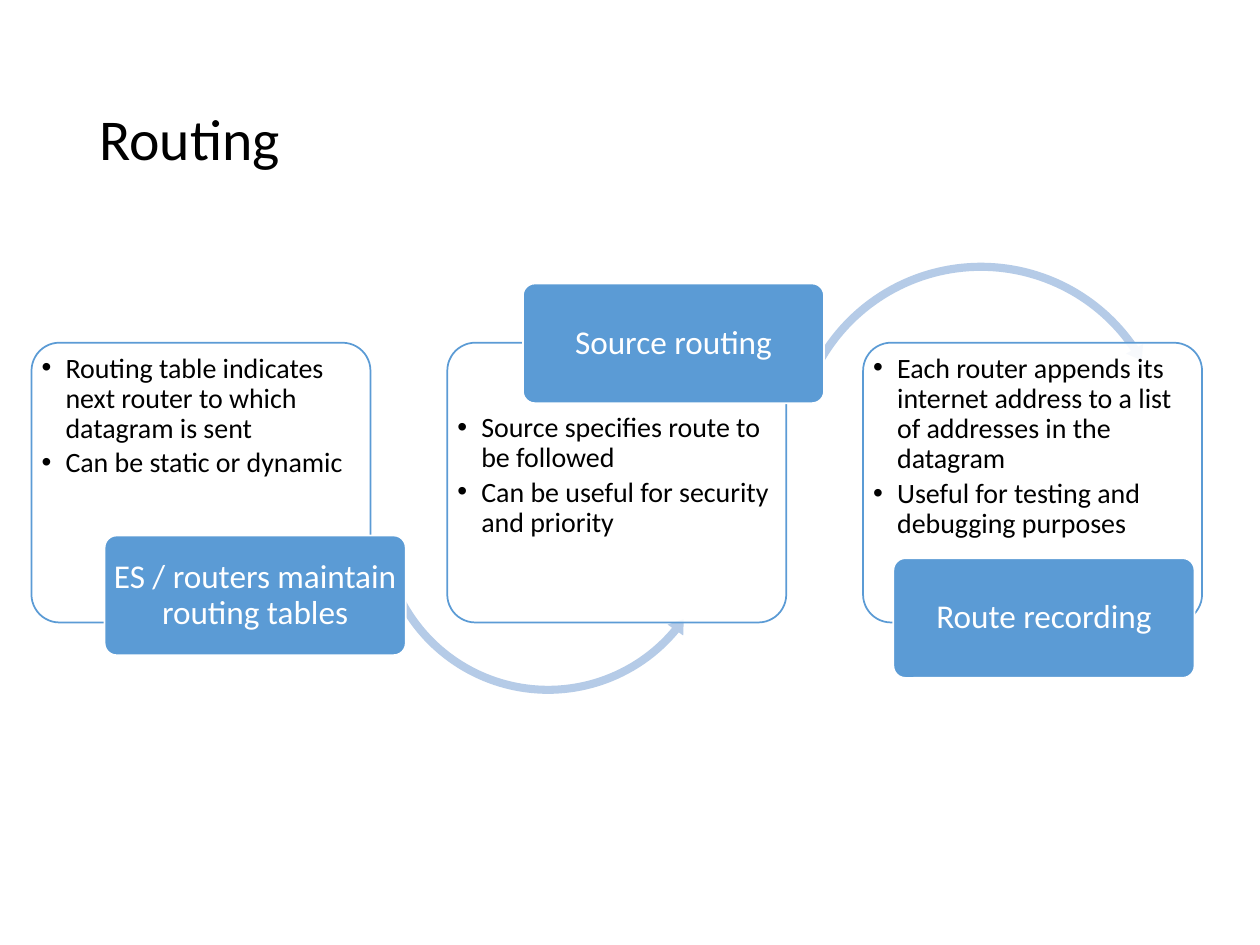
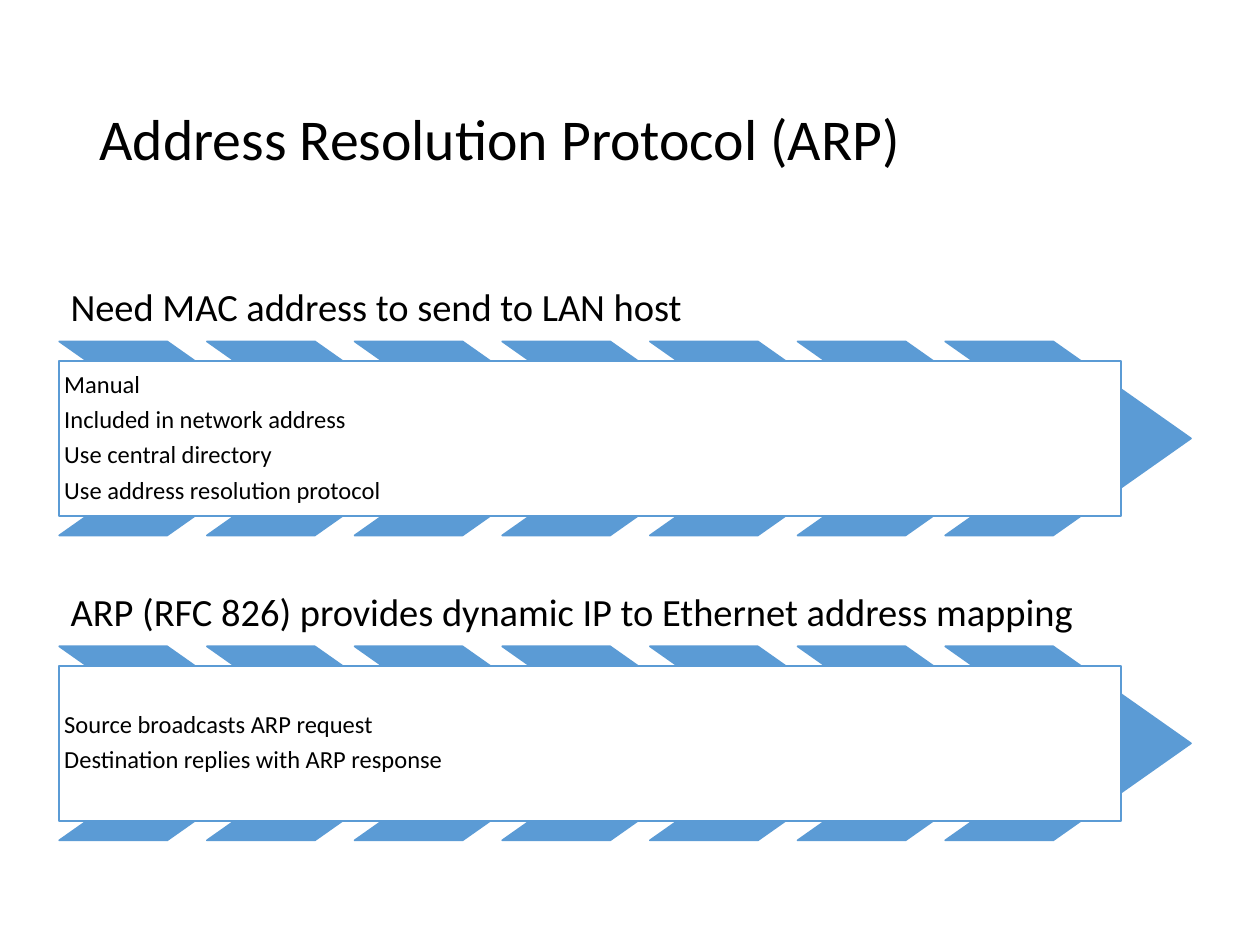
from dataclasses import dataclass
from lxml.etree import SubElement
from pptx import Presentation
from pptx.dml.color import RGBColor
from pptx.enum.shapes import MSO_SHAPE
from pptx.enum.text import MSO_ANCHOR, PP_ALIGN
from pptx.oxml.ns import qn
from pptx.util import Emu, Inches, Pt


@dataclass(frozen=True)
class Theme:
    font: str = "Calibri"
    ink: str = "000000"
    paper: str = "FFFFFF"
    blue: str = "5B9BD5"
    pale: str = "B5CBE7"
    title: int = 33
    head: int = 22
    label: int = 19
    body: int = 16
    small: int = 14


THEME = Theme()
WIDTH, HEIGHT = Inches(10), Inches(7.5)
COLS, ROWS = 100, 75  # grid that every position and size is given in


def place(x, y, w, h):
    col, row = WIDTH / COLS, HEIGHT / ROWS
    return [Emu(round(n)) for n in (x * col, y * row, w * col, h * row)]


def write(shape, lines, size, color=THEME.ink, align=PP_ALIGN.LEFT,
          anchor=MSO_ANCHOR.MIDDLE, pad=(0.04, 0.04), after=0, bullet=False):
    """Fill a shape with paragraphs; after is a share of the type size."""
    frame = shape.text_frame
    frame.word_wrap = True
    frame.vertical_anchor = anchor
    frame.margin_left = frame.margin_right = Inches(pad[0])
    frame.margin_top = frame.margin_bottom = Inches(pad[1])
    for i, line in enumerate(lines):
        par = frame.paragraphs[0] if i == 0 else frame.add_paragraph()
        par.alignment = align
        par.line_spacing = 0.9
        par.space_after = Pt(after * size)
        run = par.add_run()
        run.text = line
        run.font.name, run.font.size = THEME.font, Pt(size)
        run.font.color.rgb = RGBColor.from_string(color)
        if bullet:
            props = par._p.get_or_add_pPr()
            props.set("marL", str(Inches(0.19)))
            props.set("indent", str(-Inches(0.19)))
            SubElement(props, qn("a:buFont"), typeface="Arial")
            SubElement(props, qn("a:buChar"), char="•")


def text(slide, box, lines, size, **style):
    write(slide.shapes.add_textbox(*place(*box)), lines, size, **style)


def draw(slide, kind, box, fill, line=None, adjust=(), alpha=None):
    shape = slide.shapes.add_shape(kind, *place(*box))
    shape.shadow.inherit = False
    for i, value in enumerate(adjust):
        shape.adjustments[i] = value
    shape.fill.solid()
    shape.fill.fore_color.rgb = RGBColor.from_string(fill)
    if alpha:
        tint = shape._element.spPr.find(qn("a:solidFill"))[0]
        SubElement(tint, qn("a:alpha"), val=str(alpha * 1000))
    if line:
        shape.line.color.rgb = RGBColor.from_string(line)
        shape.line.width = Pt(1)
    else:
        shape.line.fill.background()
    return shape


def start(deck, title):
    """Add a blank slide with the shared title."""
    slide = deck.slides.add_slide(deck.slide_layouts[6])
    text(slide, (6.9, 4, 86.2, 14.5), [title], THEME.title, pad=(0.1, 0.05))
    return slide


def panel(slide, x, y, lines, drop):
    """Outlined card with bullets that begin drop rows below its top."""
    draw(slide, MSO_SHAPE.ROUNDED_RECTANGLE, (x, y, 26.9, 22.2), THEME.paper,
         THEME.blue, [0.1], alpha=90)
    text(slide, (x + 0.5, y + drop, 25.9, 16.4), lines, THEME.body,
         anchor=MSO_ANCHOR.TOP, pad=(0.03, 0.03), after=0.15, bullet=True)


def label(slide, x, y, words):
    shape = draw(slide, MSO_SHAPE.ROUNDED_RECTANGLE, (x, y, 23.9, 9.5),
                 THEME.blue, THEME.paper, [0.1])
    write(shape, [words], THEME.label, color=THEME.paper,
          align=PP_ALIGN.CENTER, pad=(0.04, 0.03), after=0.35)


def band(slide, y, head, lines):
    """Heading above a row of chevrons with a text box laid over them."""
    left, high = 4.7, 15.4
    text(slide, (left, y, 83.2, 7.6), [head], THEME.head,
         anchor=MSO_ANCHOR.BOTTOM, pad=(0.09, 0.09), after=0.35)
    top = y + 7.6
    for i in range(7):
        draw(slide, MSO_SHAPE.CHEVRON, (left + 11.72 * i, top, 19.5, high),
             THEME.blue, THEME.blue, [0.71])
    shape = draw(slide, MSO_SHAPE.RECTANGLE,
                 (left, top + high * 0.1, 84.3, high * 0.8),
                 THEME.paper, THEME.blue)
    write(shape, lines, THEME.small, after=0.35)


# Each step: bullets, their drop, label, label offset, arrow to the next step
STEPS = [
    (["Routing table indicates next router to which datagram is sent",
      "Can be static or dynamic"], 0.6,
     "ES / routers maintain routing tables", (5.8, 15.3),
     (MSO_SHAPE.LEFT_CIRCULAR_ARROW, (29.6, 27.7, 27.8, 27.8),
      (0.023, 2.83, 23.84, 93.5, 0.027))),
    (["Source specifies route to be followed",
      "Can be useful for security and priority"], 5.3,
     "Source routing", (6, -4.7),
     (MSO_SHAPE.CIRCULAR_ARROW, (62.4, 20.4, 30.9, 30.9),
      (0.021, 2.53, 195.72, 125.76, 0.025))),
    (["Each router appends its internet address to a list of addresses "
      "in the datagram", "Useful for testing and debugging purposes"], 0.6,
     "Route recording", (2.4, 17.1), None),
]

BANDS = [
    ("Need MAC address to send to LAN host",
     ["Manual", "Included in network address", "Use central directory",
      "Use address resolution protocol"]),
    ("ARP (RFC 826) provides dynamic IP to Ethernet address mapping",
     ["Source broadcasts ARP request",
      "Destination replies with ARP response"]),
]


def main():
    deck = Presentation()
    deck.slide_width, deck.slide_height = WIDTH, HEIGHT

    # Routing: three cards linked by curved arrows
    slide = start(deck, "Routing")
    for i, (lines, drop, words, (right, down), arrow) in enumerate(STEPS):
        x, y = 2.5 + 33 * i, 27.2
        panel(slide, x, y, lines, drop)
        if arrow:
            kind, box, adjust = arrow
            draw(slide, kind, box, THEME.pale, adjust=adjust)
        label(slide, x + right, y + down, words)

    # ARP: two chevron bands
    slide = start(deck, "Address Resolution Protocol (ARP)")
    for i, (head, lines) in enumerate(BANDS):
        band(slide, 19.5 + 24.2 * i, head, lines)

    deck.save("out.pptx")


if __name__ == "__main__":
    main()
